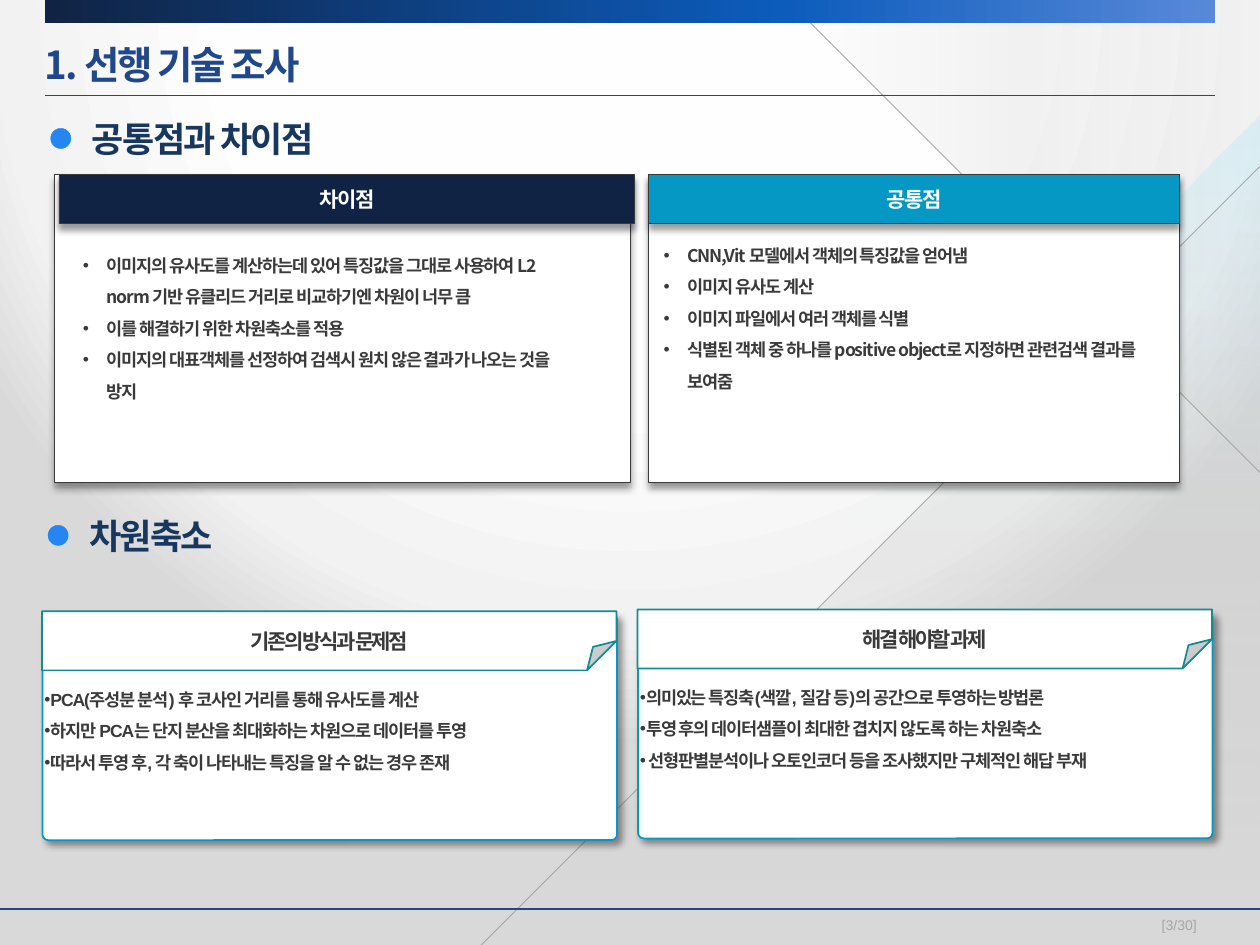
from dataclasses import dataclass

from pptx import Presentation
from pptx import util as u
from pptx.dml.color import RGBColor
from pptx.enum import shapes, text
from pptx.oxml import parse_xml
from pptx.oxml.ns import nsdecls, qn

Pt = u.Pt
SHAPE = shapes.MSO_SHAPE
WHITE = RGBColor(0xFF, 0xFF, 0xFF)
INK = RGBColor(0x3A, 0x3A, 0x3A)
NAVY = RGBColor(0x10, 0x23, 0x44)
BLUE = RGBColor(0x1F, 0x47, 0x89)
HEADING = RGBColor(0x17, 0x37, 0x5E)
DOT = RGBColor(0x25, 0x86, 0xF1)
CYAN = RGBColor(0x06, 0x98, 0xC4)
TEAL = RGBColor(0x12, 0x8B, 0x95)
GREY = RGBColor(0xA6, 0xA6, 0xA6)
NOTO = "Noto Sans CJK KR"
ARIAL = "Arial"
SHEEN = [(0, "BFBFBF", 0), (50, "BFBFBF", 20), (100, "BFBFBF", 0)]


@dataclass
class Box:
    left: float
    top: float
    width: float
    height: float

    def emu(self) -> list:
        return [Pt(v) for v in (self.left, self.top, self.width, self.height)]


@dataclass
class Style:
    size: float
    color: RGBColor
    font: str = NOTO
    bold: bool = True
    spacing: float = 0
    align: text.PP_ALIGN = text.PP_ALIGN.LEFT


@dataclass
class Bullets:
    margin: float
    indent: float


@dataclass
class Panel:
    body: Box
    header: Box
    header_color: RGBColor
    title: str
    list_box: Box
    items: list


@dataclass
class Note:
    left: float
    top: float
    title: str
    items: list


def gradient(stops: list, shade: str):
    marks = "".join(
        f'<a:gs pos="{pos * 1000}"><a:srgbClr val="{color}">'
        f'<a:alpha val="{opacity * 1000}"/></a:srgbClr></a:gs>'
        for pos, color, opacity in stops)
    return parse_xml(f'<a:gradFill {nsdecls("a")} rotWithShape="1">'
                     f'<a:gsLst>{marks}</a:gsLst>{shade}</a:gradFill>')


def fill_gradient(shape, stops: list, angle: int = 0) -> None:
    shape.shadow.inherit = False
    shape.line.fill.background()
    shape.fill.background()
    properties = shape.element.spPr
    shade = f'<a:lin ang="{angle * 60000}" scaled="0"/>'
    properties.replace(properties.find(qn("a:noFill")), gradient(stops, shade))


def add_block(slide, kind, box: Box, fill: RGBColor, line: RGBColor, weight: float,
              shadow_angle=None):
    block = slide.shapes.add_shape(kind, *box.emu())
    block.fill.solid()
    block.fill.fore_color.rgb = fill
    block.line.color.rgb = line
    block.line.width = Pt(weight)
    block.shadow.inherit = False
    if shadow_angle is not None:
        block.element.spPr.find(qn("a:effectLst")).append(parse_xml(
            f'<a:outerShdw {nsdecls("a")} blurRad="{Pt(4)}" dist="{Pt(3)}" '
            f'dir="{shadow_angle * 60000}" algn="ctr" rotWithShape="0">'
            '<a:srgbClr val="000000"><a:alpha val="40000"/></a:srgbClr></a:outerShdw>'))
    return block


def add_rule(slide, x1: float, y1: float, x2: float, y2: float,
             color: RGBColor, weight: float) -> None:
    rule = slide.shapes.add_connector(
        shapes.MSO_CONNECTOR.STRAIGHT, Pt(x1), Pt(y1), Pt(x2), Pt(y2))
    rule.line.color.rgb = color
    rule.line.width = Pt(weight)
    rule.element.spPr.append(parse_xml(f'<a:effectLst {nsdecls("a")}/>'))


def write(frame, lines: list, style: Style, bullets: Bullets = None,
          space_after: float = None) -> None:
    frame.word_wrap = True
    for i, line in enumerate(lines):
        paragraph = frame.add_paragraph() if i else frame.paragraphs[0]
        paragraph.alignment = style.align
        if space_after is not None:
            paragraph.space_after = Pt(space_after)
        if bullets:
            paragraph.line_spacing = 1.5
            layout = paragraph._p.get_or_add_pPr()
            layout.set("marL", str(Pt(bullets.margin)))
            layout.set("indent", str(Pt(bullets.indent)))
            layout.append(parse_xml(f'<a:buFont {nsdecls("a")} typeface="Arial"/>'))
            layout.append(parse_xml(f'<a:buChar {nsdecls("a")} char="•"/>'))
        run = paragraph.add_run()
        run.text = line
        run.font.size = Pt(style.size)
        run.font.bold = style.bold
        run.font.color.rgb = style.color
        run.font.name = style.font
        details = run.font._element
        details.set("spc", str(round(style.spacing * 100)))
        details.find(qn("a:latin")).addnext(
            parse_xml(f'<a:ea {nsdecls("a")} typeface="{NOTO}"/>'))


def add_text(slide, box: Box, lines: list, style: Style, bullets: Bullets = None,
             middle: bool = False, inset: bool = True, space_after: float = None) -> None:
    frame = slide.shapes.add_textbox(*box.emu()).text_frame
    if middle:
        frame.vertical_anchor = text.MSO_ANCHOR.MIDDLE
    else:
        frame.auto_size = text.MSO_AUTO_SIZE.SHAPE_TO_FIT_TEXT
    if not inset:
        frame.margin_left = frame.margin_top = frame.margin_right = frame.margin_bottom = 0
    write(frame, lines, style, bullets, space_after)


def add_heading(slide, left: float, top: float, title: str) -> None:
    add_text(slide, Box(left + 16.5, top, 566.6, 31.7), [title],
             Style(20, HEADING, spacing=-1), space_after=6)
    add_block(slide, SHAPE.OVAL, Box(left, top + 10, 11.5, 11.5), DOT, DOT, 0.25)


def add_panel(slide, panel: Panel) -> None:
    add_block(slide, SHAPE.RECTANGLE, panel.body, WHITE, INK, 0.25, 90)
    header = add_block(slide, SHAPE.RECTANGLE, panel.header, panel.header_color, INK, 0.25, 90)
    header.text_frame.vertical_anchor = text.MSO_ANCHOR.MIDDLE
    write(header.text_frame, [panel.title],
          Style(12, WHITE, ARIAL, spacing=-0.8, align=text.PP_ALIGN.CENTER))
    add_text(slide, panel.list_box, panel.items, Style(10, INK, spacing=-0.6),
             Bullets(13.5, -13.5))


def add_note(slide, note: Note) -> None:
    card = add_block(slide, SHAPE.ROUNDED_RECTANGLE,
                     Box(note.left + 0.3, note.top + 1.2, 328.3, 129.6), WHITE, CYAN, 1, 45)
    card.adjustments[0] = 0.025
    header = Box(note.left, note.top, 328.3, 33.8)
    fold = add_block(slide, SHAPE.FOLDED_CORNER, header, WHITE, TEAL, 1)
    # The library lists no adjustment for the folded corner
    outline = fold.element.spPr.find(qn("a:prstGeom"))
    outline.set("prst", "foldedCorner")
    outline.find(qn("a:avLst")).append(
        parse_xml(f'<a:gd {nsdecls("a")} name="adj" fmla="val 49700"/>'))
    add_text(slide, header, [note.title],
             Style(12, INK, ARIAL, spacing=-1.5, align=text.PP_ALIGN.CENTER), middle=True)
    add_text(slide, Box(note.left - 5.7, note.top + 34.7, 327.6, 95.8), note.items,
             Style(10, INK, ARIAL, spacing=-0.6), Bullets(0, -25.2))


def add_backdrop(slide) -> None:
    slide.background.fill.solid()
    backdrop = slide.element.find(".//" + qn("p:bgPr"))
    glow = [(0, "FFFFFF", 100), (50, "FEFEFE", 100), (80, "F2F2F2", 100), (95, "D9D9D9", 100)]
    backdrop.replace(backdrop.find(qn("a:solidFill")), gradient(
        glow, '<a:path path="circle">'
              '<a:fillToRect l="50000" t="-80000" r="50000" b="180000"/></a:path>'))
    # Tinted corner triangles
    wedge = slide.shapes.build_freeform(Pt(720), Pt(540))
    wedge.add_line_segments([(Pt(243.4), Pt(540)), (Pt(720), Pt(66.2))], close=True)
    fill_gradient(wedge.convert_to_shape(),
                  [(0, "BFBFBF", 0), (50, "D0F3FE", 0), (100, "A1E7FC", 30)], 270)
    for box, turn in ((Box(275, 95, 445, 445), 270), (Box(450, 0, 270, 270), 180)):
        corner = slide.shapes.add_shape(SHAPE.RIGHT_TRIANGLE, *box.emu())
        corner.rotation = turn
        fill_gradient(corner, SHEEN)
    # Diagonals and footer rule
    add_rule(slide, 275, 540, 720, 95, GREY, 0.5)
    add_rule(slide, 450, 0, 720, 270, GREY, 0.5)
    add_rule(slide, 133.2, 519.6, 720, 519.6, BLUE, 1)
    add_rule(slide, 0, 519.6, 144.7, 519.6, BLUE, 1)
    # Top band and title rule
    band = slide.shapes.add_shape(SHAPE.RECTANGLE, *Box(25.5, 0, 669, 13.4).emu())
    fill_gradient(band, [(0, "102344", 100), (63, "0C5CBC", 100), (100, "5889D9", 100)])
    add_rule(slide, 25.5, 54.6, 694.5, 54.6, BLUE, 0.5)


PANELS = [
    Panel(Box(370.6, 99.6, 303.4, 176.2), Box(370.6, 99.6, 303.4, 28.2), CYAN, "공통점",
          Box(372.2, 130.3, 297.4, 186.5),
          ["CNN,Vit 모델에서 객체의 특징값을 얻어냄", "이미지 유사도 계산",
           "이미지 파일에서 여러 객체를 식별",
           "식별된 객체 중 하나를 positive object로 지정하면 관련검색 결과를 보여줌"]),
    Panel(Box(31.2, 99.6, 329, 176.2), Box(33.7, 99.6, 329, 28.2), NAVY, "차이점",
          Box(40.3, 136.1, 297.4, 132.5),
          ["이미지의 유사도를 계산하는데 있어 특징값을 그대로 사용하여 L2 norm 기반 유클리드 거리로 "
           "비교하기엔 차원이 너무 큼", "이를 해결하기 위한 차원축소를 적용",
           "이미지의 대표객체를 선정하여 검색시 원치 않은 결과가 나오는 것을 방지"]),
]
NOTES = [
    Note(24, 349.3, "기존의 방식과 문제점",
         ["PCA(주성분 분석) 후 코사인 거리를 통해 유사도를 계산",
          "하지만 PCA는 단지 분산을 최대화하는 차원으로 데이터를 투영",
          "따라서 투영 후, 각 축이 나타내는 특징을 알 수 없는 경우 존재"]),
    Note(364.3, 348.3, "해결 해야할 과제",
         ["의미있는 특징축(색깔, 질감 등)의 공간으로 투영하는 방법론",
          "투영 후의 데이터샘플이 최대한 겹치지 않도록 하는 차원축소",
          " 선형판별분석이나 오토인코더 등을 조사했지만 구체적인 해답 부재"]),
]


def main() -> None:
    deck = Presentation()
    deck.slide_width, deck.slide_height = Pt(720), Pt(540)
    slide = deck.slides.add_slide(deck.slide_layouts[6])
    add_backdrop(slide)
    # Title and page number
    add_text(slide, Box(25.5, 19.6, 669, 34.6), ["1. 선행 기술 조사"],
             Style(22, BLUE, spacing=-1.2), middle=True, inset=False)
    add_text(slide, Box(627.8, 521.5, 92.2, 14.4), ["[3/30]"],
             Style(8, GREY, ARIAL, False, align=text.PP_ALIGN.CENTER), middle=True, inset=False)
    # Similarities and differences
    add_heading(slide, 29, 63.4, "공통점과 차이점")
    for panel in PANELS:
        add_panel(slide, panel)
    # Dimension reduction
    add_heading(slide, 27.5, 290.2, "차원축소")
    for note in NOTES:
        add_note(slide, note)
    deck.save("out.pptx")


if __name__ == "__main__":
    main()
